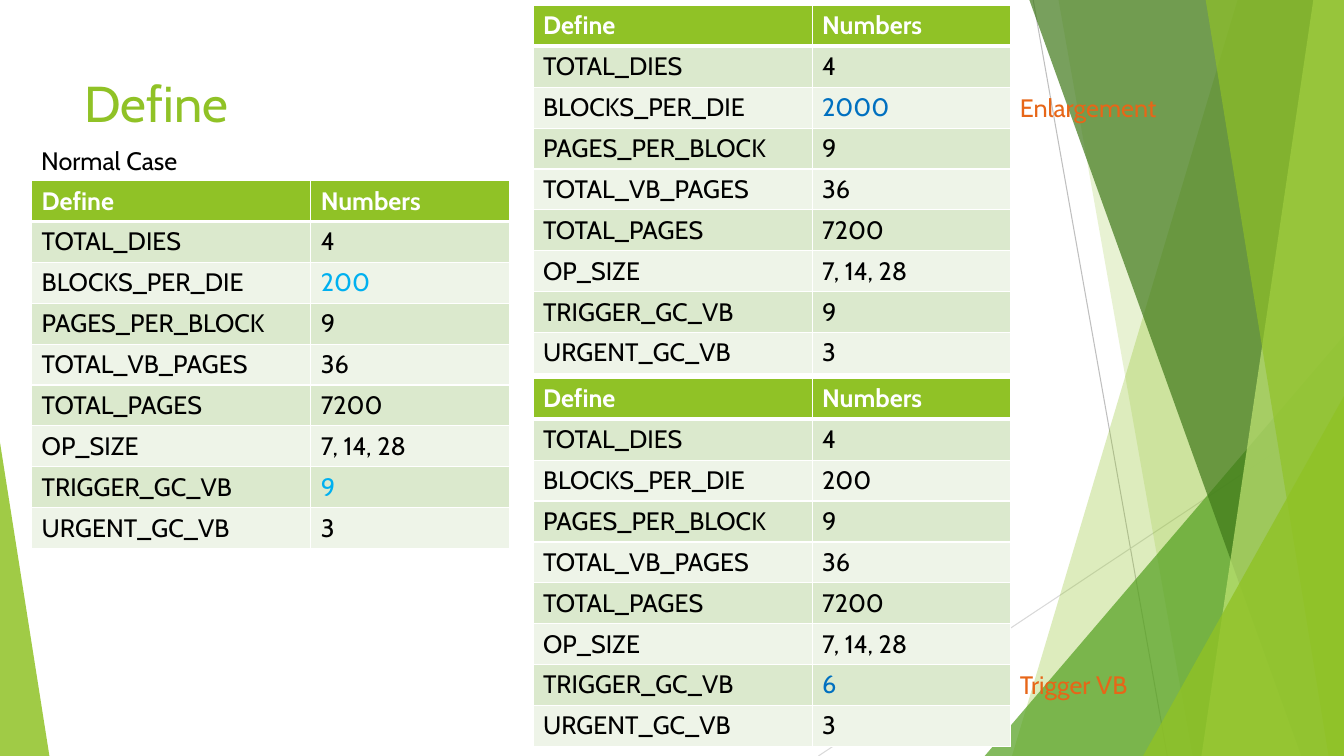
from dataclasses import dataclass

from lxml.etree import SubElement
from pptx import Presentation
from pptx.dml.color import RGBColor
from pptx.enum.shapes import MSO_CONNECTOR, MSO_SHAPE
from pptx.enum.text import MSO_ANCHOR, MSO_AUTO_SIZE, PP_ALIGN
from pptx.oxml import parse_xml
from pptx.oxml.ns import nsdecls, qn
from pptx.util import Pt

WHITE = RGBColor(0xFF, 0xFF, 0xFF)
BLACK = RGBColor(0x00, 0x00, 0x00)
LIME = RGBColor(0x90, 0xC2, 0x26)
PALE_LIME = RGBColor(0xC0, 0xE4, 0x74)
GREEN = RGBColor(0x54, 0xA0, 0x21)
DARK_GREEN = RGBColor(0x3F, 0x78, 0x19)
ODD_ROW = RGBColor(0xDB, 0xE9, 0xCD)
EVEN_ROW = RGBColor(0xEE, 0xF4, 0xE8)
SKY_BLUE = RGBColor(0x00, 0xB0, 0xF0)
BLUE = RGBColor(0x00, 0x70, 0xC0)
ORANGE = RGBColor(0xE7, 0x66, 0x18)
GREY = RGBColor(0xBF, 0xBF, 0xBF)
LIGHT_GREY = RGBColor(0xD9, 0xD9, 0xD9)

FONT = "Cabin"
SLIDE_WIDTH, SLIDE_HEIGHT = 960, 540
BAND_TOP = -0.6
COLUMN_WIDTHS = (199.4, 141.8)
ROW_HEIGHT = 29.2
HEADER = ("Define", "Numbers")
DEFINES = {
    "TOTAL_DIES": "4",
    "BLOCKS_PER_DIE": "200",
    "PAGES_PER_BLOCK": "9",
    "TOTAL_VB_PAGES": "36",
    "TOTAL_PAGES": "7200",
    "OP_SIZE": "7, 14, 28",
    "TRIGGER_GC_VB": "9",
    "URGENT_GC_VB": "3",
}


@dataclass(frozen=True)
class Ray:
    start: tuple[float, float]
    end: tuple[float, float]
    color: RGBColor


@dataclass(frozen=True)
class Band:
    top_x: float
    bottom_x: float
    color: RGBColor
    opacity: int


@dataclass(frozen=True)
class Wedge:
    left: float
    top: float
    width: float
    apex: float
    color: RGBColor
    opacity: int


@dataclass(frozen=True)
class DefineTable:
    left: float
    top: float
    highlights: dict[str, str]
    highlight_color: RGBColor


@dataclass(frozen=True)
class Label:
    text: str
    left: float
    top: float
    width: float
    color: RGBColor


BACKDROP = (
    Ray((738, 0), (833.8, 540), GREY),
    Ray((960, 290.2), (584.6, 540), LIGHT_GREY),
    Band(884.2, 722.9, LIME, 30),
    Band(756, 851.8, LIME, 20),
    Wedge(703.4, 239.8, 256.6, 1, GREEN, 72),
    Band(735.1, 929.5, DARK_GREEN, 70),
    Band(938.2, 858.2, PALE_LIME, 70),
    Band(861.1, 949, LIME, 65),
    Wedge(816.5, 283, 143.5, 1, LIME, 80),
    Wedge(0, 316.1, 35.3, 0, LIME, 85),
)
TABLES = (
    DefineTable(22.6, 129, {"BLOCKS_PER_DIE": "200", "TRIGGER_GC_VB": "9"}, SKY_BLUE),
    DefineTable(380.7, 3.9, {"BLOCKS_PER_DIE": "2000"}, BLUE),
    DefineTable(380.7, 270.3, {"TRIGGER_GC_VB": "6"}, BLUE),
)
LABELS = (
    Label("Normal Case", 22.3, 100.1, 115.9, BLACK),
    Label("Enlargement", 721.4, 62.2, 117.4, ORANGE),
    Label("Trigger VB", 721.4, 474.5, 97.2, ORANGE),
)


def style_text(frame, size: float, color: RGBColor, bold: bool = False) -> None:
    font = frame.paragraphs[0].runs[0].font
    font.name, font.size, font.bold = FONT, Pt(size), bold
    font.color.rgb = color


def paint(shape, color: RGBColor, opacity: int) -> None:
    shape.shadow.inherit = False
    shape.line.fill.background()
    shape.fill.solid()
    shape.fill.fore_color.rgb = color
    tint = shape.element.spPr.find(qn("a:solidFill"))[0]
    SubElement(tint, qn("a:alpha")).set("val", str(opacity * 1000))


def draw_ray(slide, ray: Ray) -> None:
    line = slide.shapes.add_connector(
        MSO_CONNECTOR.STRAIGHT, *map(Pt, ray.start), *map(Pt, ray.end)
    )
    line.line.color.rgb = ray.color
    line.line.width = Pt(0.75)
    SubElement(line.element.spPr, qn("a:effectLst"))


def draw_band(slide, band: Band) -> None:
    outline = slide.shapes.build_freeform(Pt(band.top_x), Pt(BAND_TOP))
    corners = (
        (SLIDE_WIDTH, BAND_TOP),
        (SLIDE_WIDTH, SLIDE_HEIGHT),
        (band.bottom_x, SLIDE_HEIGHT),
    )
    outline.add_line_segments([(Pt(x), Pt(y)) for x, y in corners], close=True)
    paint(outline.convert_to_shape(), band.color, band.opacity)


def draw_wedge(slide, wedge: Wedge) -> None:
    triangle = slide.shapes.add_shape(
        MSO_SHAPE.ISOSCELES_TRIANGLE,
        Pt(wedge.left), Pt(wedge.top), Pt(wedge.width), Pt(SLIDE_HEIGHT - wedge.top),
    )
    triangle.adjustments[0] = wedge.apex
    paint(triangle, wedge.color, wedge.opacity)


def border_cell(cell, top: int, bottom: int) -> None:
    properties = cell._tc.get_or_add_tcPr()
    widths = {"lnL": 1, "lnR": 1, "lnT": top, "lnB": bottom}
    for position, (side, width) in enumerate(widths.items()):
        properties.insert(position, parse_xml(
            f'<a:{side} {nsdecls("a")} w="{Pt(width)}"><a:solidFill>'
            f'<a:srgbClr val="{WHITE}"/></a:solidFill></a:{side}>'
        ))


def draw_table(slide, define_table: DefineTable) -> None:
    rows = [HEADER, *(DEFINES | define_table.highlights).items()]
    table = slide.shapes.add_table(
        len(rows), len(HEADER), Pt(define_table.left), Pt(define_table.top),
        Pt(sum(COLUMN_WIDTHS)), Pt(ROW_HEIGHT * len(rows)),
    ).table
    for column, width in zip(table.columns, COLUMN_WIDTHS):
        column.width = Pt(width)
    for r, row in enumerate(rows):
        table.rows[r].height = Pt(ROW_HEIGHT)
        is_header = r == 0
        fill = LIME if is_header else ODD_ROW if r % 2 else EVEN_ROW
        for c, text in enumerate(row):
            cell = table.cell(r, c)
            cell.text_frame.text = text
            highlighted = c == 1 and row[0] in define_table.highlights
            color = define_table.highlight_color if highlighted else BLACK
            style_text(cell.text_frame, 18, WHITE if is_header else color, is_header)
            cell.fill.solid()
            cell.fill.fore_color.rgb = fill
            border_cell(cell, top=3 if r == 1 else 1, bottom=3 if is_header else 1)


def draw_label(slide, label: Label) -> None:
    box = slide.shapes.add_textbox(
        Pt(label.left), Pt(label.top), Pt(label.width), Pt(29.1)
    )
    box.text_frame.text = label.text
    box.text_frame.word_wrap = False
    box.text_frame.auto_size = MSO_AUTO_SIZE.SHAPE_TO_FIT_TEXT
    style_text(box.text_frame, 18, label.color)


def place_title(slide) -> None:
    title = slide.shapes.title
    title.left, title.top, title.width, title.height = map(Pt, (53.3, 48, 676.9, 104))
    title.text_frame.text = "Define"
    title.text_frame.vertical_anchor = MSO_ANCHOR.TOP
    title.text_frame.paragraphs[0].alignment = PP_ALIGN.LEFT
    style_text(title.text_frame, 36, LIME)
    title.element.getparent().append(title.element)


def main() -> None:
    deck = Presentation()
    deck.slide_width, deck.slide_height = Pt(SLIDE_WIDTH), Pt(SLIDE_HEIGHT)
    slide = deck.slides.add_slide(deck.slide_layouts[5])
    painters = {Ray: draw_ray, Band: draw_band, Wedge: draw_wedge}
    for part in BACKDROP:
        painters[type(part)](slide, part)
    place_title(slide)
    for define_table in TABLES:
        draw_table(slide, define_table)
    for label in LABELS:
        draw_label(slide, label)
    deck.save("out.pptx")


if __name__ == "__main__":
    main()
